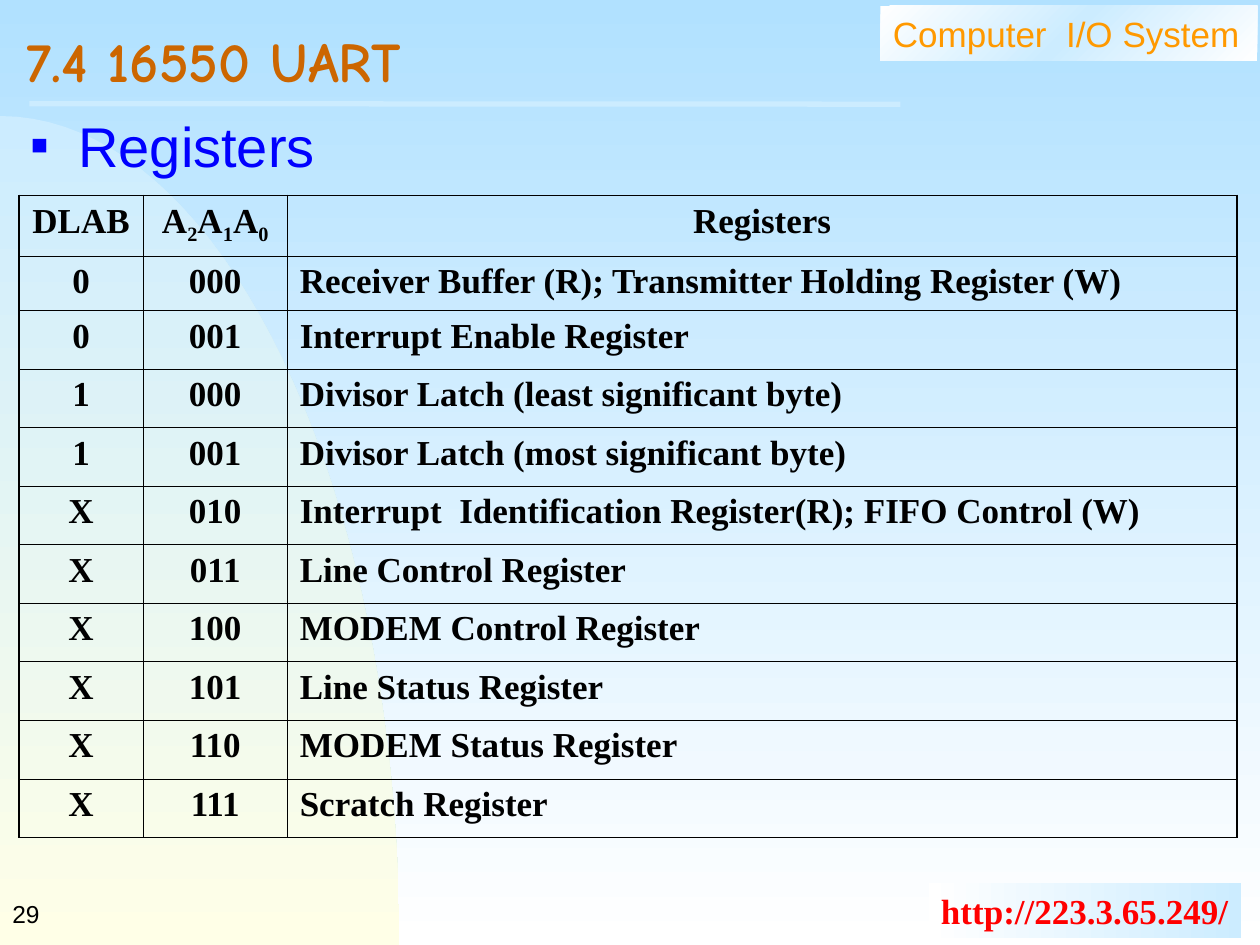
from copy import deepcopy
from pptx import Presentation
from pptx.dml.color import RGBColor as RGB
from pptx.enum.shapes import MSO_CONNECTOR as Link, MSO_SHAPE as Shape
from pptx.enum.text import MSO_ANCHOR as Anchor, MSO_AUTO_SIZE as Fit, PP_ALIGN as Align
from pptx.oxml import parse_xml
from pptx.oxml.ns import nsdecls, qn
from pptx.util import Cm, Pt

SKY = RGB(0xB1, 0xE1, 0xFF)
PALE = RGB(0xCC, 0xEC, 0xFF)
CREAM = RGB(0xFF, 0xFF, 0xE7)
WHITE = RGB(0xFF, 0xFF, 0xFF)
BLACK = RGB(0, 0, 0)
BLUE = RGB(0, 0, 0xFF)
RED = RGB(0xFF, 0, 0)
AMBER = RGB(0xFF, 0x99, 0)
RUST = RGB(0xCC, 0x66, 0)
SANS, SERIF, COMIC = "Arial", "Times New Roman", "Comic Neue"

TITLE = "7.4 16550 UART"
TOPIC = "Registers"
COURSE = "Computer  I/O System"
SITE = "http://223.3.65.249/"
PAGE = "29"
ROWS = [
    ("DLAB", "A2A1A0", "Registers"),
    ("0", "000", "Receiver Buffer (R); Transmitter Holding Register (W)"),
    ("0", "001", "Interrupt Enable Register"),
    ("1", "000", "Divisor Latch (least significant byte)"),
    ("1", "001", "Divisor Latch (most significant byte)"),
    ("X", "010", "Interrupt  Identification Register(R); FIFO Control (W)"),
    ("X", "011", "Line Control Register"),
    ("X", "100", "MODEM Control Register"),
    ("X", "101", "Line Status Register"),
    ("X", "110", "MODEM Status Register"),
    ("X", "111", "Scratch Register"),
]
WIDTHS = [2.51, 2.9, 19.15]
HEIGHTS = [1.22, 1.08] + [1.18] * (len(ROWS) - 2)
THIN, THICK = Pt(0.45), Pt(1.08)
CURVE = [(0, 2.34), (4.45, 2.34), (8.05, 9.83), (8.05, 19.05)]
STEPS = 40


def blend(fill, root, tones, angle):
    fill.gradient()
    fill.gradient_angle = angle
    stops = root.find(".//" + qn("a:gsLst"))
    for _ in tones[2:]:
        stops.append(deepcopy(stops[0]))
    for i, (stop, tone) in enumerate(zip(fill.gradient_stops, tones)):
        stop.position = i / (len(tones) - 1)
        stop.color.rgb = tone


def style(para, size, face, color, bold=False):
    for run in para.runs:
        font = run.font
        font.size, font.name, font.bold = Pt(size), face, bold
        font.color.rgb = color


def write(shape, text, size, face, color, bold=False, anchor=Anchor.TOP):
    frame = shape.text_frame
    frame.word_wrap = True
    frame.vertical_anchor = anchor
    frame.text = text
    para = frame.paragraphs[0]
    para.alignment = Align.LEFT
    style(para, size, face, color, bold)
    return para


def label(box, *text, **extra):
    return write(slide.shapes.add_textbox(*map(Cm, box)), *text, **extra)


def plate(box, tones, angle, *text):
    shape = slide.shapes.add_shape(Shape.RECTANGLE, *map(Cm, box))
    shape.shadow.inherit = False
    shape.line.fill.background()
    blend(shape.fill, shape._element, tones, angle)
    write(shape, *text)
    shape.text_frame.auto_size = Fit.SHAPE_TO_FIT_TEXT
    return shape


def point(t):
    u = 1 - t
    parts = (u**3, 3 * u * u * t, 3 * u * t * t, t**3)
    return tuple(Cm(sum(k * p[i] for k, p in zip(parts, CURVE))) for i in (0, 1))


def border(cell, row, col):
    edges = [("L", col == 0), ("R", col == len(WIDTHS) - 1),
             ("T", row == 0), ("B", row == len(ROWS) - 1)]
    props = cell._tc.get_or_add_tcPr()
    for i, (side, outer) in enumerate(edges):
        props.insert(i, parse_xml(
            f'<a:ln{side} {nsdecls("a")} w="{THICK if outer else THIN}">'
            f'<a:solidFill><a:srgbClr val="{BLACK}"/></a:solidFill></a:ln{side}>'))


deck = Presentation()
deck.slide_width, deck.slide_height = Cm(25.4), Cm(19.05)
slide = deck.slides.add_slide(deck.slide_layouts[6])
blend(slide.background.fill, slide._element, [SKY, WHITE], 270)

arc = [point(i / STEPS) for i in range(STEPS + 1)]
pen = slide.shapes.build_freeform(*arc[0])
pen.add_line_segments(arc[1:] + [(0, Cm(19.05))], close=True)
hill = pen.convert_to_shape()
hill.shadow.inherit = False
hill.line.fill.background()
blend(hill.fill, hill._element, [PALE, CREAM], 270)

plate((17.75, 0.12, 7.6, 1.11), [WHITE, PALE, WHITE], 315, COURSE, 20, SANS, AMBER)
site = plate((18.72, 17.81, 6.3, 1.11), [WHITE, PALE], 0, SITE, 20, SERIF, RED, True)
site.text_frame.word_wrap = False

rule = slide.shapes.add_connector(Link.STRAIGHT, Cm(0.59), Cm(2.09), Cm(18.15), Cm(2.1))
rule.line.color.rgb = PALE
rule.line.width = Pt(3)
rule._element.spPr.append(parse_xml(f'<a:effectLst {nsdecls("a")}/>'))

label((0, 17.78, 5.28, 1.27), PAGE, 14, SANS, BLACK, anchor=Anchor.MIDDLE)
head = label((0.28, 0.4, 24.26, 1.95), TITLE, 32, COMIC, RUST, True, anchor=Anchor.MIDDLE)
head.line_spacing = 0.7

topic = label((0.38, 2.12, 24.38, 15.8), TOPIC, 32, SANS, BLUE)
props = topic._p.get_or_add_pPr()
props.set("marL", str(Cm(0.95)))
props.set("indent", str(-Cm(0.95)))
for mark in (f'buClr {nsdecls("a")}><a:srgbClr val="{BLUE}"/></a:buClr',
             f'buSzPct {nsdecls("a")} val="50000"/',
             f'buFont {nsdecls("a")} typeface="{SANS}"/',
             f'buChar {nsdecls("a")} char="■"/'):
    props.append(parse_xml(f"<a:{mark}>"))

grid = slide.shapes.add_table(len(ROWS), len(WIDTHS), Cm(0.38), Cm(3.94),
                              Cm(sum(WIDTHS)), Cm(sum(HEIGHTS))).table
grid.first_row = grid.horz_banding = False
for col, width in zip(grid.columns, WIDTHS):
    col.width = Cm(width)
for r, (row, height) in enumerate(zip(ROWS, HEIGHTS)):
    grid.rows[r].height = Cm(height)
    for c, text in enumerate(row):
        cell = grid.cell(r, c)
        cell.fill.background()
        border(cell, r, c)
        para = cell.text_frame.paragraphs[0]
        for part in (text if (r, c) == (0, 1) else [text]):
            run = para.add_run()
            run.text = part
            if r == 0 and part.isdigit():
                run._r.get_or_add_rPr().set("baseline", "-25000")
        para.alignment = Align.LEFT if r and c == 2 else Align.CENTER
        style(para, 20, SERIF, BLACK, True)

deck.save("out.pptx")
